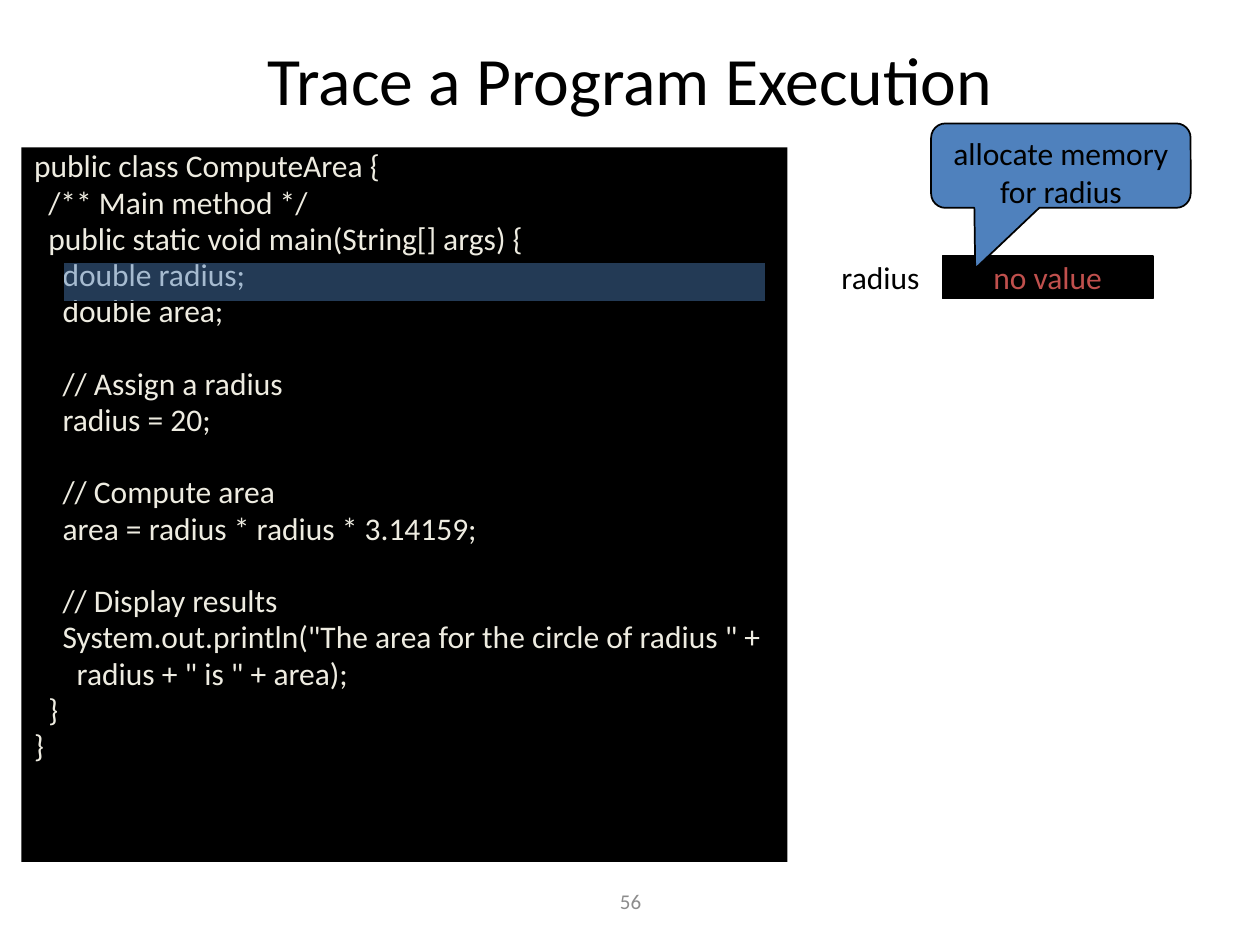
from pptx import Presentation
from pptx.util import Inches, Pt
from pptx.dml.color import RGBColor
from pptx.enum.shapes import MSO_SHAPE as Shape
from pptx.enum.text import MSO_ANCHOR as Anchor, MSO_AUTO_SIZE as Fit, PP_ALIGN as Align
from pptx.oxml.ns import qn
from lxml.etree import SubElement

TITLE = "Trace a Program Execution"
# Blocks of code, set apart by one line; each line is (level, text)
CODE = [
    [(0, "public class ComputeArea {"),
     (1, "/** Main method */"),
     (1, "public static void main(String[] args) {"),
     (2, "double radius;"),
     (2, "double area;")],
    [(2, "// Assign a radius"),
     (2, "radius = 20;")],
    [(2, "// Compute area"),
     (2, "area = radius * radius * 3.14159;")],
    [(2, "// Display results"),
     (2, 'System.out.println("The area for the circle of radius " +'),
     (3, 'radius + " is " + area);'),
     (1, "}"),
     (0, "}")],
]
BLACK, BLUE, RED, CREAM, GRAY = "000000", "4F81BD", "C0504D", "EEECE1", "8C8C8C"
STEP, GAP, PITCH = 0.113, 3.35, 20.92  # indent in inches, spacing in points


def color(code):
    return RGBColor.from_string(code)


def place(shape, box):
    shape.left, shape.top, shape.width, shape.height = map(Inches, box)


def write(shape, text, tint, size=18, align=Align.CENTER, anchor=Anchor.TOP):
    frame = shape.text_frame
    frame.text = text
    frame.word_wrap = True
    frame.auto_size = Fit.NONE
    frame.vertical_anchor = anchor
    for para in frame.paragraphs:
        para.alignment = align
        for run in para.runs:
            run.font.size = Pt(size)
            run.font.name = "Calibri"
            run.font.color.rgb = color(tint)
    return frame


def draw(kind, box, fill):
    shape = slide.shapes.add_shape(kind, *map(Inches, box))
    shape.shadow.inherit = False
    shape.fill.solid()
    shape.fill.fore_color.rgb = color(fill)
    shape.line.color.rgb = color(BLACK)
    shape.line.width = Pt(1)
    return shape


def label(box, *args, **opts):
    return write(slide.shapes.add_textbox(*map(Inches, box)), *args, **opts)


deck = Presentation()
deck.slide_width, deck.slide_height = Inches(10), Inches(7.5)
slide = deck.slides.add_slide(deck.slide_layouts[1])
title, body = slide.placeholders

# Slide number and title
label((3.42, 6.95, 3.17, 0.4), "56", GRAY, size=12, anchor=Anchor.MIDDLE)
place(title, (0.75, 0.33, 8.5, 0.58))
write(title, TITLE, BLACK, size=38.7, anchor=Anchor.MIDDLE)

# Code listing
place(body, (0.17, 1.17, 6.08, 5.67))
body.fill.solid()
body.fill.fore_color.rgb = color(BLACK)
lines = [(level, text, GAP + (PITCH if block and not row else 0))
         for block, part in enumerate(CODE)
         for row, (level, text) in enumerate(part)]
frame = write(body, "\n".join(text for _, text, _ in lines), CREAM, align=Align.LEFT)
for para, (level, _, space) in zip(frame.paragraphs, lines):
    para.line_spacing = 0.8
    para.space_before = Pt(space)
    props = para._p.get_or_add_pPr()
    props.set("marL", str(Inches(level * STEP)))
    props.set("indent", "0")
    SubElement(props, qn("a:buNone"))

# Variable and its memory cell
cell = draw(Shape.RECTANGLE, (7.48, 2.03, 1.67, 0.34), BLACK)
frame = write(cell, "no value", RED, anchor=Anchor.MIDDLE)
frame.margin_left = frame.margin_right = Inches(0.01)
frame.margin_top = frame.margin_bottom = Inches(0.01)
label((6.58, 2, 0.92, 0.4), "radius", BLACK, align=Align.LEFT)

# Translucent bar on the current line
bar = draw(Shape.RECTANGLE, (0.5, 2.08, 5.58, 0.32), BLUE)
tone = bar.fill._xPr.find(qn("a:solidFill"))[0]
SubElement(tone, qn("a:alpha")).set("val", "45000")

# Callout pointing at the cell
note = draw(Shape.ROUNDED_RECTANGULAR_CALLOUT, (7.39, 0.98, 2.06, 0.67), BLUE)
for spot, value in enumerate((-0.33, 1.22, 0.17)):
    note.adjustments[spot] = value
write(note, "allocate memory for radius", BLACK)

deck.save("out.pptx")
